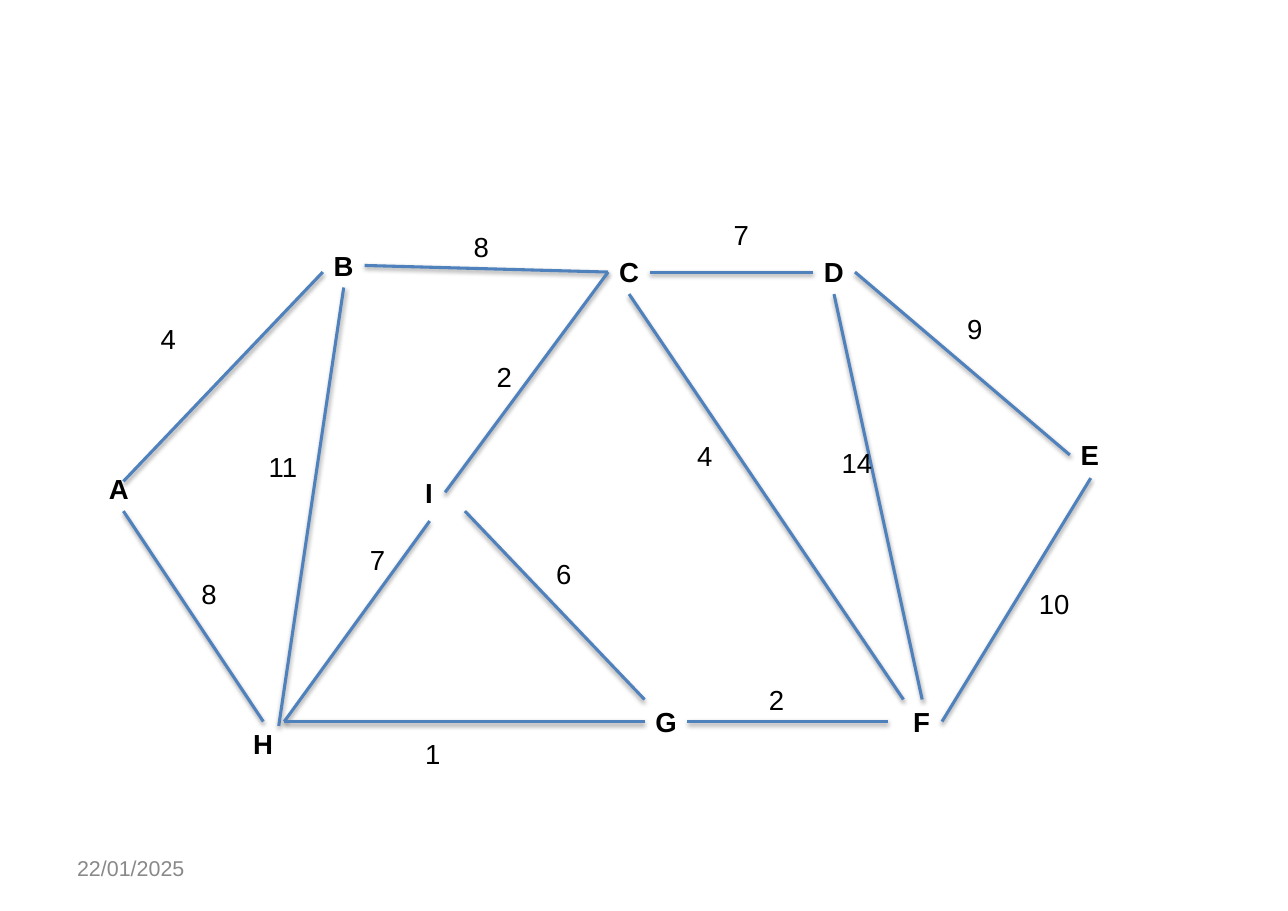
from lxml import etree
from pptx import Presentation
from pptx.dml.color import RGBColor
from pptx.enum.shapes import MSO_CONNECTOR as Connector
from pptx.enum.text import MSO_ANCHOR as Anchor, MSO_AUTO_SIZE as AutoSize
from pptx.oxml import parse_xml
from pptx.oxml.ns import nsdecls, qn
from pptx.util import Inches, Pt

COLORS = {"text": "000000", "edge": "4F81BD", "date": "898989", "shadow": "000000"}
FONT = "Arial"
LABEL_HEIGHT = 0.4

# Vertex name: left, top and width of its label, relative to the graph box
VERTICES = {
    "A": (0.39, 2.74, 0.38),
    "B": (2.43, 0.71, 0.38),
    "C": (5.02, 0.77, 0.38),
    "D": (6.88, 0.77, 0.38),
    "E": (9.21, 2.43, 0.38),
    "F": (7.69, 4.85, 0.36),
    "G": (5.35, 4.85, 0.40),
    "H": (1.70, 5.05, 0.38),
    "I": (3.26, 2.77, 0.27),
}

# Start, end, weight, left and top of the weight label
EDGES = [
    ((0.62, 2.87), (2.43, 0.97), "4", (0.86, 1.37)),    # A-B
    ((0.62, 3.14), (1.89, 5.05), "8", (1.23, 3.69)),    # A-H
    ((2.81, 0.91), (5.02, 0.97), "8", (3.70, 0.54)),    # B-C
    ((2.62, 1.11), (2.03, 5.09), "11", (1.84, 2.54)),   # B-H
    ((3.40, 3.23), (2.08, 5.05), "7", (2.76, 3.38)),    # I-H
    ((5.02, 0.97), (3.54, 2.97), "2", (3.91, 1.72)),    # C-I
    ((2.08, 5.05), (5.35, 5.05), "1", (3.26, 5.14)),    # H-G
    ((5.40, 0.97), (6.88, 0.97), "7", (6.06, 0.43)),    # C-D
    ((7.26, 0.97), (9.21, 2.63), "9", (8.18, 1.28)),    # D-E
    ((9.40, 2.84), (8.05, 5.05), "10", (8.83, 3.78)),   # E-F
    ((5.74, 5.05), (7.56, 5.05), "2", (6.38, 4.65)),    # G-F
    ((3.72, 3.14), (5.35, 4.85), "6", (4.45, 3.51)),    # I-G
    ((7.07, 1.17), (7.87, 4.85), "14", (7.04, 2.50)),   # D-F
    ((5.21, 1.17), (7.70, 4.85), "4", (5.73, 2.44)),    # C-F
]
WEIGHT_WIDTHS = {"11": 0.46, "10": 0.48, "14": 0.48}


def color(name):
    return RGBColor.from_string(COLORS[name])


def add_text(page, text, left, top, width, height, size=18, fill="text", bold=False):
    box = page.shapes.add_textbox(Inches(left), Inches(top), Inches(width), Inches(height))
    span = box.text_frame.paragraphs[0].add_run()
    span.text = text
    span.font.name = FONT
    span.font.size = Pt(size)
    span.font.bold = bold
    span.font.color.rgb = color(fill)
    return box.text_frame


def add_label(page, text, left, top, width, bold=False):
    frame = add_text(page, text, left, top, width, LABEL_HEIGHT, bold=bold)
    frame.word_wrap = False
    frame.auto_size = AutoSize.SHAPE_TO_FIT_TEXT


def add_shadow(line):
    effects = etree.SubElement(line._element.spPr, qn("a:effectLst"))
    effects.append(parse_xml(
        f'<a:outerShdw {nsdecls("a")} blurRad="{Pt(3.1)}" dist="{Pt(1.6)}" '
        f'dir="5400000" rotWithShape="0"><a:srgbClr val="{COLORS["shadow"]}">'
        '<a:alpha val="38000"/></a:srgbClr></a:outerShdw>'))


def add_edge(page, start, end):
    line = page.shapes.add_connector(
        Connector.STRAIGHT, *(Inches(value) for value in (*start, *end)))
    line.line.color.rgb = color("edge")
    line.line.width = Pt(2)
    add_shadow(line)


def draw_graph(page, left, top):
    # Vertices
    for name, (x, y, width) in VERTICES.items():
        add_label(page, name, left + x, top + y, width, bold=True)
    # Edges
    for start, end, _, _ in EDGES:
        add_edge(page, (left + start[0], top + start[1]), (left + end[0], top + end[1]))
    # Weights
    for _, _, weight, (x, y) in EDGES:
        add_label(page, weight, left + x, top + y, WEIGHT_WIDTHS.get(weight, 0.34))


def draw_date(page, left, top, width, height):
    frame = add_text(page, "22/01/2025", left, top, width, height, size=14, fill="date")
    frame.word_wrap = True
    frame.vertical_anchor = Anchor.MIDDLE
    frame.margin_left = frame.margin_right = Inches(0.11)
    frame.margin_top = frame.margin_bottom = Inches(0.06)


def main():
    deck = Presentation()
    deck.slide_width, deck.slide_height = Inches(11.69), Inches(8.27)
    page = deck.slides.add_slide(deck.slide_layouts[6])
    draw_date(page, 0.59, 7.66, 2.73, 0.44)
    draw_graph(page, 0.5, 1.5)
    deck.save("out.pptx")


if __name__ == "__main__":
    main()
